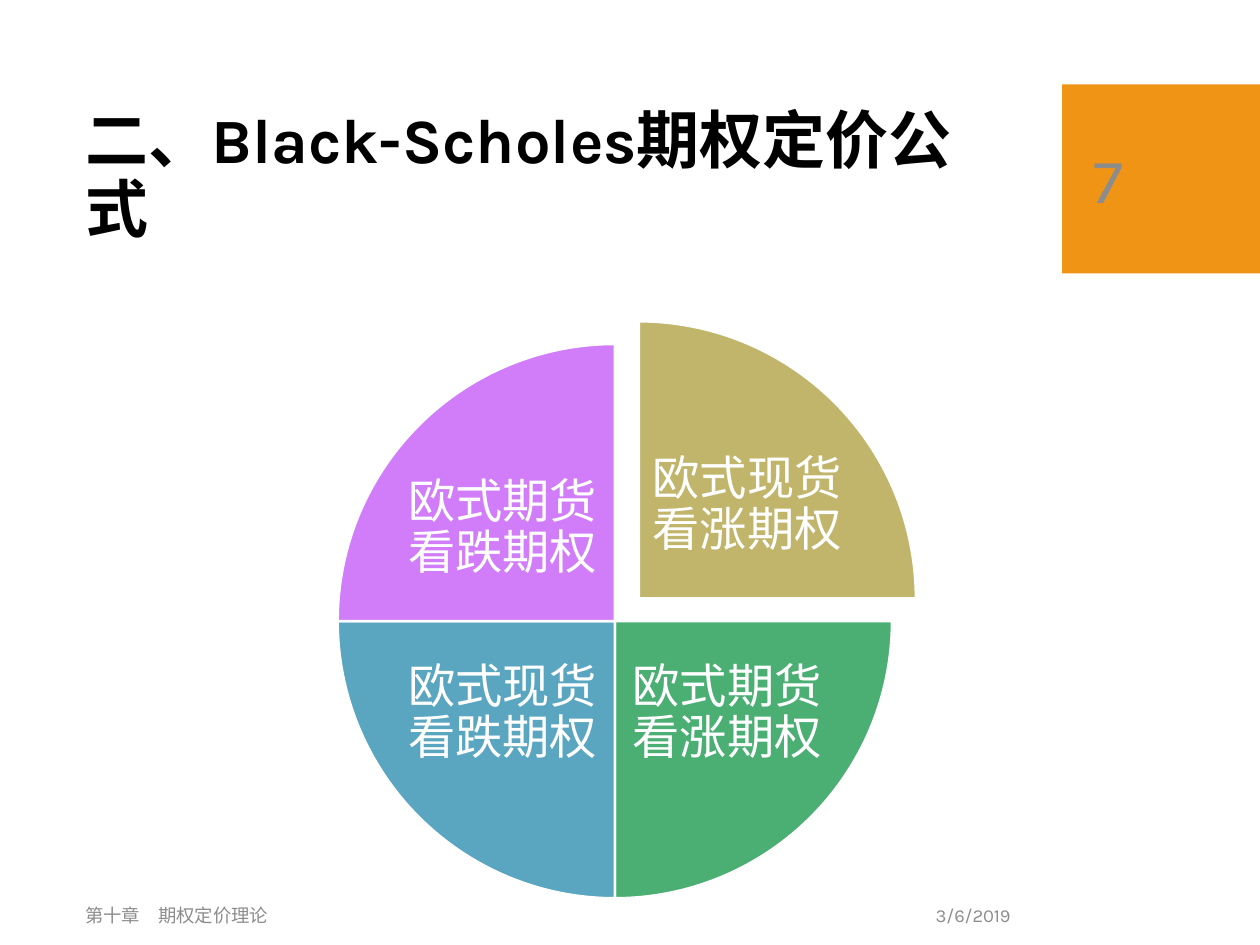
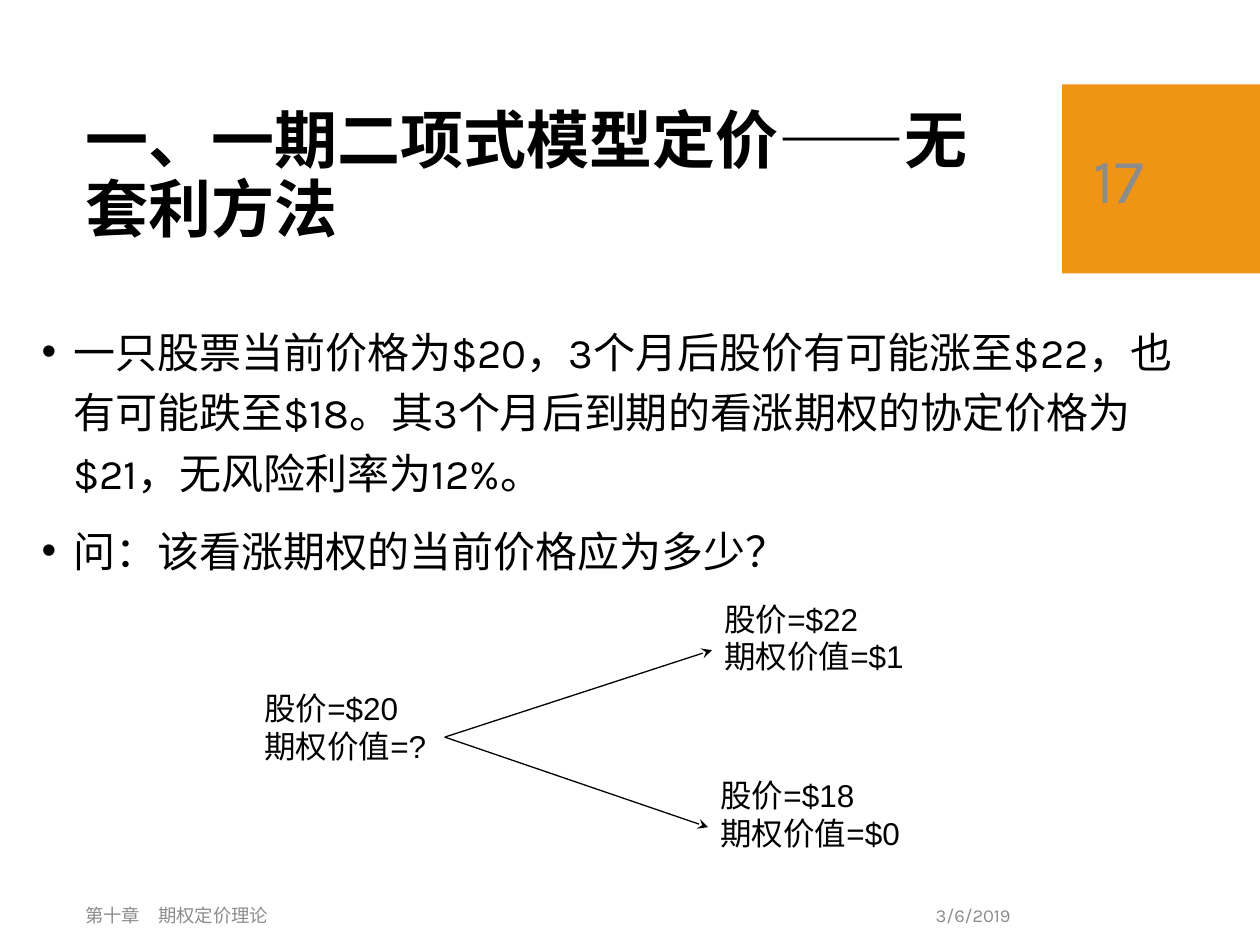
from lxml.etree import SubElement
from pptx import Presentation
from pptx.dml.color import RGBColor
from pptx.enum.shapes import MSO_CONNECTOR, MSO_SHAPE
from pptx.enum.text import MSO_ANCHOR, MSO_AUTO_SIZE, PP_ALIGN
from pptx.oxml.ns import qn
from pptx.util import Inches, Pt

COLUMNS, ROWS = 100, 75
CELL = Inches(0.1)
FONT, TREE_FONT = "Karla", "Arial"
BLACK, WHITE, GREY, ORANGE = "000000", "FFFFFF", "8C8C8C", "F09415"
TITLE_ONLY, TITLE_AND_BODY = 5, 1
QUARTER, FULL_TURN, TOP = 54, 216, 162


def cells(*counts):
    return [round(count * CELL) for count in counts]


def colour(value):
    return RGBColor.from_string(value)


def place(shape, area):
    shape.left, shape.top, shape.width, shape.height = cells(*area)


def write(shape, text, size, ink=BLACK, font=FONT, bold=False,
          align=PP_ALIGN.LEFT, anchor=MSO_ANCHOR.MIDDLE, line_spacing=None):
    frame = shape.text_frame
    frame.text = text
    frame.word_wrap = True
    frame.auto_size = MSO_AUTO_SIZE.NONE
    frame.vertical_anchor = anchor
    for para in frame.paragraphs:
        para.alignment = align
        para.line_spacing = line_spacing
        for span in para.runs:
            span.font.size = Pt(size)
            span.font.name = font
            span.font.bold = bold
            span.font.color.rgb = colour(ink)


def add_text(page, area, text, size, ink, **style):
    box = page.shapes.add_textbox(*cells(*area))
    write(box, text, size, ink, **style)
    return box


def add_block(page, kind, area, fill, outline=None, weight=0.75):
    shape = page.shapes.add_shape(kind, *cells(*area))
    shape.shadow.inherit = False
    shape.fill.solid()
    shape.fill.fore_color.rgb = colour(fill)
    if outline:
        shape.line.color.rgb = colour(outline)
        shape.line.width = Pt(weight)
    else:
        shape.line.fill.background()
    return shape


def add_arrow(page, start, end):
    arrow = page.shapes.add_connector(
        MSO_CONNECTOR.STRAIGHT, *cells(*start), *cells(*end))
    arrow.line.color.rgb = colour(BLACK)
    arrow.line.width = Pt(0.75)
    SubElement(arrow.line._get_or_add_ln(), qn("a:tailEnd"), type="stealth")
    SubElement(arrow._element.spPr, qn("a:effectLst"))


def add_page(deck, layout, title, number):
    page = deck.slides.add_slide(deck.slide_layouts[layout])
    place(page.shapes.title, (5.8, 8.2, 75.4, 11.8))
    write(page.shapes.title, title, 36, bold=True, line_spacing=0.9)
    add_text(page, (58.7, 70.6, 22.5, 4), "3/6/2019", 10.5, GREY,
             align=PP_ALIGN.RIGHT)
    add_text(page, (5.8, 70.6, 52.9, 4), "第十章　期权定价理论", 10.5, GREY)
    add_text(page, (85.8, 8.2, 12.7, 11.9), number, 36, GREY)
    return page


def add_master_band(deck, page):
    band = add_block(page, MSO_SHAPE.RECTANGLE, (84.3, 6.7, 15.7, 15), ORANGE)
    deck.slide_master.shapes._spTree.append(band._element)


def add_option_wheel(page, slices):
    centre_x, centre_y, radius = 48.8, 49.3, 22
    label_width, label_height, gap = 16.2, 13.1, 0.8
    for index, (text, fill, shift_x, shift_y, side_gap) in enumerate(slices):
        x, y = centre_x + shift_x, centre_y + shift_y
        start = (TOP + index * QUARTER) % FULL_TURN
        pie = add_block(page, MSO_SHAPE.PIE,
                        (x - radius, y - radius, 2 * radius, 2 * radius),
                        fill, WHITE, 1.5)
        pie.adjustments[0] = start
        pie.adjustments[1] = (start + QUARTER) % FULL_TURN
        left = x + side_gap if index in (0, 1) else x - side_gap - label_width
        top = y + gap if index in (1, 2) else y - gap - label_height
        label = add_text(page, (left, top, label_width, label_height), text,
                         27, WHITE, align=PP_ALIGN.CENTER, line_spacing=0.9)
        frame = label.text_frame
        frame.margin_left = frame.margin_right = Inches(0.04)
        frame.margin_top = frame.margin_bottom = Inches(0.04)


def fill_body(page, items):
    body = page.placeholders[1]
    place(body, (2.3, 24.6, 94.9, 45))
    write(body, "\n".join(items), 24, anchor=MSO_ANCHOR.TOP, line_spacing=1.2)
    for para in body.text_frame.paragraphs:
        para.space_before = Pt(10)
        properties = para._p.get_or_add_pPr()
        properties.set("marL", str(Inches(0.25)))
        properties.set("indent", str(-Inches(0.25)))


def add_price_node(page, area, price, value):
    node = add_block(page, MSO_SHAPE.RECTANGLE, area, WHITE, WHITE)
    write(node, f"股价={price}\n期权价值={value}", 18, font=TREE_FONT,
          anchor=MSO_ANCHOR.TOP)


def add_price_tree(page):
    root = (35.3, 58.5)
    add_price_node(page, (20, 54.2, 15.3, 8.5), "$20", "?")
    branches = [((56.5, 47.1, 17, 9), "$22", "$1"),
                ((56.2, 61.1, 17.3, 9.1), "$18", "$0")]
    for area, price, value in branches:
        left, top, width, height = area
        add_price_node(page, area, price, value)
        add_arrow(page, root, (left, top + height / 2))


def main():
    deck = Presentation()
    deck.slide_width, deck.slide_height = cells(COLUMNS, ROWS)

    formula = add_page(deck, TITLE_ONLY, "二、Black-Scholes期权定价公式", "7")
    add_master_band(deck, formula)
    add_option_wheel(formula, [
        ("欧式现货看涨期权", "C1B56B", 1.9, -1.8, 0.5),
        ("欧式期货看涨期权", "4BAF73", 0, 0, 0.8),
        ("欧式现货看跌期权", "5AA6C0", 0, 0, 0.8),
        ("欧式期货看跌期权", "D17DF9", 0, 0, 0.8),
    ])

    binomial = add_page(deck, TITLE_AND_BODY,
                        "一、一期二项式模型定价——无套利方法", "17")
    fill_body(binomial, [
        "一只股票当前价格为$20，3个月后股价有可能涨至$22，也有可能跌至$18。"
        "其3个月后到期的看涨期权的协定价格为$21，无风险利率为12%。",
        "问：该看涨期权的当前价格应为多少？",
    ])
    add_price_tree(binomial)

    deck.save("out.pptx")


if __name__ == "__main__":
    main()
